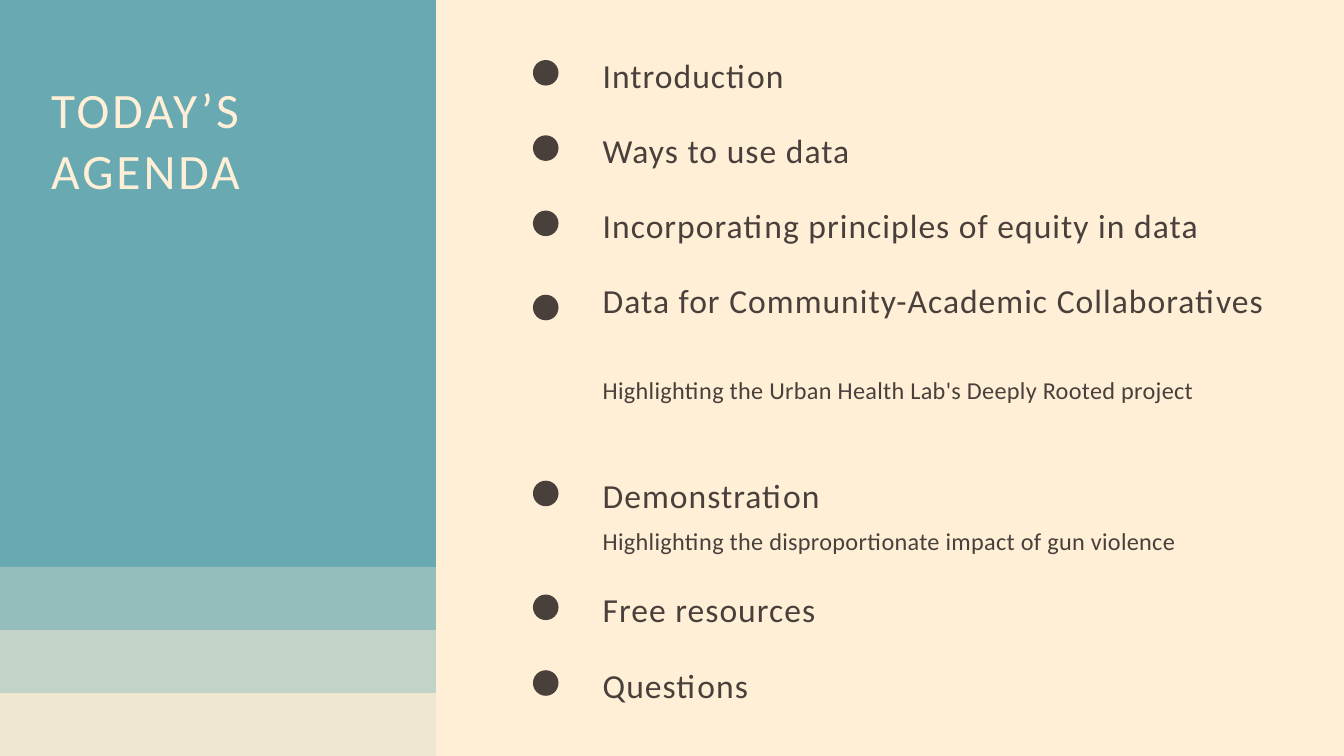
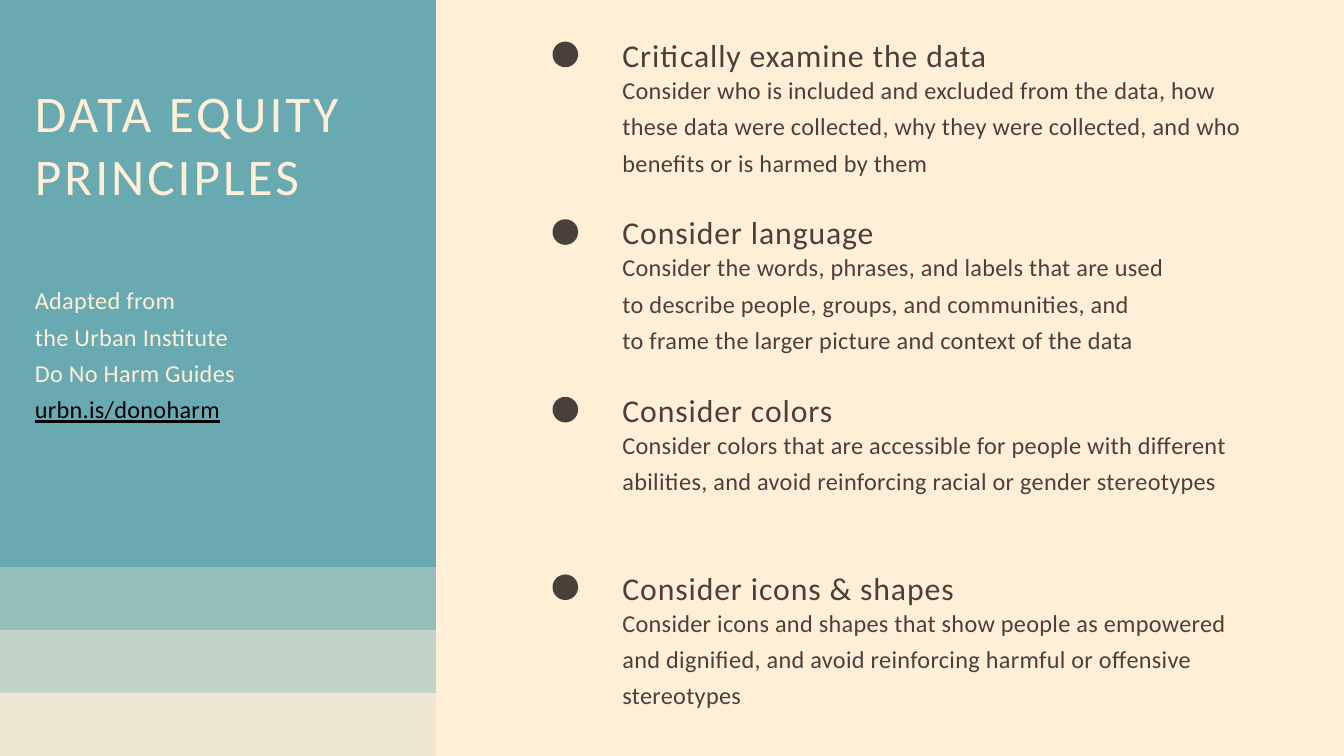
from lxml import etree
from pptx import Presentation
from pptx.dml.color import RGBColor
from pptx.enum.shapes import MSO_SHAPE
from pptx.enum.text import MSO_ANCHOR, MSO_AUTO_SIZE, PP_ALIGN
from pptx.oxml.ns import qn
from pptx.util import Pt

RECT, OVAL = MSO_SHAPE.RECTANGLE, MSO_SHAPE.OVAL
TOP, LEFT, NO_FIT = MSO_ANCHOR.TOP, PP_ALIGN.LEFT, MSO_AUTO_SIZE.NONE

CREAM, TEAL, BROWN, BLACK = "FFEFD6", "69A9B2", "49403C", "000000"
FONT = "Calibri"
WIDTH, HEIGHT = 1440, 810
PANEL_W, PANEL_H, BAND_H = 467, 607.5, 67.5
BAND_ALPHAS = [70, 40, 10]
DOT = 27.4
TEXT_W = 692.6

# size, line spacing, letter spacing
AGENDA_TITLE = (53, 65.2, 3.2)
EQUITY_TITLE = (55, 67.6, 3.3)
AGENDA_HEAD = (36, 46.8, 1.1)
EQUITY_HEAD = (34, 44.2, 1)
BODY = (26, 39, 0.3)

AGENDA = [
    (54.7, 1, "Introduction", None),
    (135.4, 1, "Ways to use data", None),
    (216, 1, "Incorporating principles of equity in data", None),
    (296.6, 2, "Data for Community-Academic Collaboratives",
     "Highlighting the Urban Health Lab's Deeply Rooted project"),
    (505.4, 1, "Demonstration",
     "Highlighting the disproportionate impact of gun violence"),
    (627.4, 1, "Free resources", None),
    (708.5, 1, "Questions", None),
]

PRINCIPLES = [
    ("Critically examine the data",
     ["Consider who is included and excluded from the data, how these data were "
      "collected, why they were collected, and who benefits or is harmed by them"]),
    ("Consider language",
     ["Consider the words, phrases, and labels that are used",
      "to describe people, groups, and communities, and",
      "to frame the larger picture and context of the data"]),
    ("Consider colors",
     ["Consider colors that are accessible for people with different abilities, "
      "and avoid reinforcing racial or gender stereotypes"]),
    ("Consider icons & shapes",
     ["Consider icons and shapes that show people as empowered and dignified, "
      "and avoid reinforcing harmful or offensive stereotypes"]),
]

CREDIT = ["Adapted from", "the Urban Institute", "Do No Harm Guides"]
CREDIT_URL = "urbn.is/donoharm"


def rgb(color):
    return RGBColor.from_string(color)


def add_block(s, kind, x, y, w, h, color, alpha=None):
    sp = s.shapes.add_shape(kind, Pt(x), Pt(y), Pt(w), Pt(h))
    sp.shadow.inherit = False
    sp.fill.solid()
    sp.fill.fore_color.rgb = rgb(color)
    sp.line.fill.background()
    if alpha is not None:
        clr = sp.fill._xPr.find(qn("a:solidFill")).find(qn("a:srgbClr"))
        etree.SubElement(clr, qn("a:alpha"), val=str(alpha * 1000))


def style(p, look, color):
    size, leading, tracking = look
    p.alignment = LEFT
    p.line_spacing = Pt(leading)
    p.space_before = Pt(0)
    p.font.name = FONT
    p.font.size = Pt(size)
    p.font.color.rgb = rgb(color)
    p._p.pPr.find(qn("a:defRPr")).set("spc", str(round(tracking * 100)))


def fill_text(sp, lines, look, color):
    tf = sp.text_frame
    tf.word_wrap = True
    tf.auto_size = NO_FIT
    tf.vertical_anchor = TOP
    tf.margin_left = tf.margin_top = tf.margin_right = tf.margin_bottom = 0
    for i, line in enumerate(lines):
        p = tf.paragraphs[0] if i == 0 else tf.add_paragraph()
        p.text = line
        style(p, look, color)
    return tf


def add_text(s, x, y, w, h, lines, look, color=BROWN):
    sp = s.shapes.add_textbox(Pt(x), Pt(y), Pt(w), Pt(h))
    return fill_text(sp, lines, look, color)


def add_slide(prs, title, look, x, y, w, h):
    s = prs.slides.add_slide(prs.slide_layouts[5])
    s.background.fill.solid()
    s.background.fill.fore_color.rgb = rgb(CREAM)
    add_block(s, RECT, 0, 0, PANEL_W, PANEL_H, TEAL)
    for i, alpha in enumerate(BAND_ALPHAS):
        add_block(s, RECT, 0, PANEL_H + i * BAND_H, PANEL_W, BAND_H, TEAL, alpha)
    sp = s.shapes.title
    sp.left, sp.top, sp.width, sp.height = Pt(x), Pt(y), Pt(w), Pt(h)
    fill_text(sp, [title], look, CREAM)
    s.shapes._spTree.append(sp._element)
    return s


def build_agenda(prs):
    s = add_slide(prs, "TODAY’S AGENDA", AGENDA_TITLE, 54.7, 83.5, 398, 131)
    x, leading = 645.8, AGENDA_HEAD[1]
    for top, rows, head, note in AGENDA:
        dot_drop = 9.6 * rows
        add_block(s, OVAL, 571, top + dot_drop, DOT, DOT, BROWN)
        add_text(s, x, top, 748, rows * 45.6, [head], AGENDA_HEAD)
        if note:
            add_text(s, x, top + rows * leading + 4, TEXT_W, 36, [note], BODY)


def build_principles(prs):
    s = add_slide(prs, "DATA EQUITY PRINCIPLES", EQUITY_TITLE, 37.4, 85, 385, 201.6)
    tf = add_text(s, 37.4, 298, 385, 154, CREDIT, BODY, CREAM)
    p = tf.add_paragraph()
    p.text = CREDIT_URL
    style(p, BODY, BLACK)
    p.font.underline = True
    x, first, pitch = 666.9, 34.6, 190.3
    for i, (head, lines) in enumerate(PRINCIPLES):
        top = first + i * pitch
        add_block(s, OVAL, 592, top + 10, DOT, DOT, BROWN)
        add_text(s, x, top, TEXT_W, 42.5, [head], EQUITY_HEAD)
        add_text(s, x, top + 38, TEXT_W, 113.8, lines, BODY)


def main():
    prs = Presentation()
    prs.slide_width, prs.slide_height = Pt(WIDTH), Pt(HEIGHT)
    build_agenda(prs)
    build_principles(prs)
    prs.save("out.pptx")


if __name__ == "__main__":
    main()
